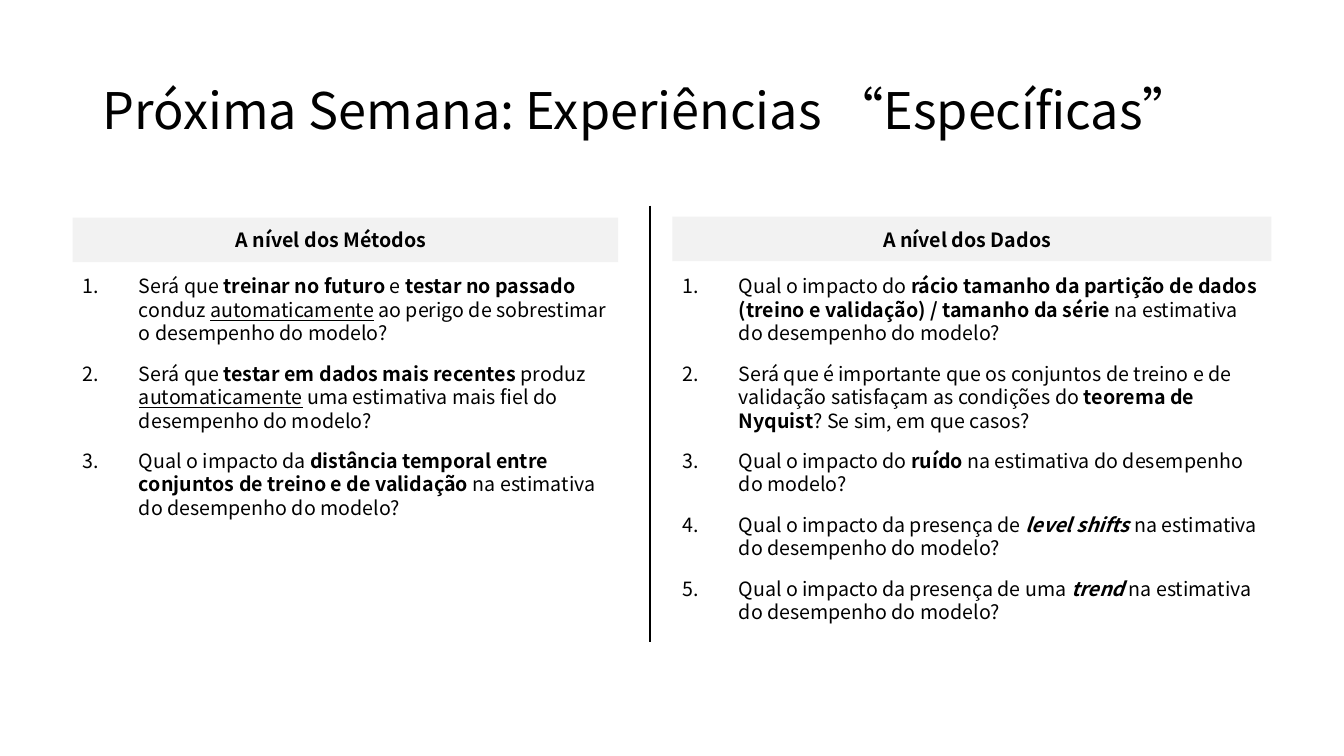
from lxml import etree
from pptx import Presentation
from pptx import util as u
from pptx.dml.color import RGBColor
from pptx.enum import shapes, text
from pptx.oxml import ns

BLACK = RGBColor(0x00, 0x00, 0x00)
GREY = RGBColor(0xF2, 0xF2, 0xF2)
WHITE = RGBColor(0xFF, 0xFF, 0xFF)

END = "na estimativa do desempenho do modelo?"

# Each item is a list of runs: (words, style), where style holds b, i or u.
METHODS = [
    [("Será que ", ""), ("treinar no futuro", "b"), (" e ", ""),
     ("testar no passado ", "b"), ("conduz ", ""), ("automaticamente", "u"),
     (" ao perigo de sobrestimar o desempenho do modelo?", "")],
    [("Será que ", ""), ("testar em dados mais recentes ", "b"),
     ("produz ", ""), ("automaticamente", "u"),
     (" uma estimativa mais fiel do desempenho do modelo?", "")],
    [("Qual o impacto da ", ""),
     ("distância temporal entre conjuntos de treino e de validação ", "b"),
     (END, "")],
]
DATA = [
    [("Qual o impacto do ", ""),
     ("rácio tamanho da partição de dados (treino e validação) / "
      "tamanho da série ", "b"), (END, "")],
    [("Será que é importante que os conjuntos de treino e de validação "
      "satisfaçam as condições do ", ""), ("teorema de Nyquist", "b"),
     ("? Se sim, em que casos?", "")],
    [("Qual o impacto do ", ""), ("ruído ", "b"), (END, "")],
    [("Qual o impacto da presença de ", ""), ("level shifts ", "bi"),
     (END, "")],
    [("Qual o impacto da presença de uma ", ""), ("trend ", "bi"),
     (END, "")],
]


class Board:
    font = "Noto Sans CJK TC"
    size = 14

    def __init__(self, slide):
        self.slide = slide
        fill = slide.background.fill
        fill.solid()
        fill.fore_color.rgb = WHITE

    def box(self, left, top, wide, high, wrap=True):
        area = self.slide.shapes.add_textbox(*map(u.Inches, (left, top, wide, high)))
        frame = area.text_frame
        frame.word_wrap = wrap
        frame.auto_size = text.MSO_AUTO_SIZE.SHAPE_TO_FIT_TEXT
        return frame

    def run(self, para, words, style="", size=None):
        run = para.add_run()
        run.text = words
        font = run.font
        font.name = self.font
        font.size = u.Pt(size or self.size)
        font.color.rgb = BLACK
        font.bold = "b" in style
        font.italic = "i" in style
        font.underline = "u" in style
        face = etree.SubElement(run._r.get_or_add_rPr(), ns.qn("a:ea"))
        face.set("typeface", self.font)

    def title(self, words):
        frame = self.box(0.92, 0.4, 11.5, 1.45)
        frame.auto_size = text.MSO_AUTO_SIZE.NONE
        frame.vertical_anchor = text.MSO_ANCHOR.MIDDLE
        para = frame.paragraphs[0]
        para.line_spacing = 0.9
        self.run(para, words, size=36)

    def band(self, left, top, wide):
        bar = self.slide.shapes.add_shape(
            shapes.MSO_SHAPE.RECTANGLE, *map(u.Inches, (left, top, wide, 0.44)))
        bar.shadow.inherit = False
        bar.fill.solid()
        bar.fill.fore_color.rgb = GREY
        bar.line.fill.background()

    def head(self, left, wide, words):
        frame = self.box(left, 2.21, wide, 0.34, wrap=False)
        self.run(frame.paragraphs[0], words, "b")

    def list(self, left, wide, high, items):
        """Add a numbered list with a hanging indent."""
        frame = self.box(left, 2.67, wide, high)
        for n, item in enumerate(items):
            para = frame.add_paragraph() if n else frame.paragraphs[0]
            para.space_after = u.Pt(12)
            props = para._p.get_or_add_pPr()
            props.set("marL", str(u.Inches(0.56)))
            props.set("indent", str(-u.Inches(0.56)))
            mark = etree.SubElement(props, ns.qn("a:buAutoNum"))
            mark.set("type", "arabicPeriod")
            for words, style in item:
                self.run(para, words, style)

    def rule(self, x, top, end):
        line = self.slide.shapes.add_connector(
            shapes.MSO_CONNECTOR.STRAIGHT, *map(u.Inches, (x, top, x, end)))
        line.line.color.rgb = BLACK
        line.line.width = u.Pt(1.5)
        etree.SubElement(line._element.spPr, ns.qn("a:effectLst"))


def main():
    deck = Presentation()
    deck.slide_width, deck.slide_height = u.Inches(13.33), u.Inches(7.5)
    board = Board(deck.slides.add_slide(deck.slide_layouts[6]))
    board.band(6.67, 2.15, 5.94)
    board.band(0.72, 2.16, 5.41)
    board.title("Próxima Semana: Experiências “Específicas”")
    board.list(0.72, 5.41, 2.96, METHODS)
    board.list(6.67, 5.94, 3.6, DATA)
    board.head(2.24, 2.14, "A nível dos Métodos")
    board.head(8.66, 1.89, "A nível dos Dados")
    board.rule(6.45, 2.04, 6.37)
    deck.save("out.pptx")


if __name__ == "__main__":
    main()
